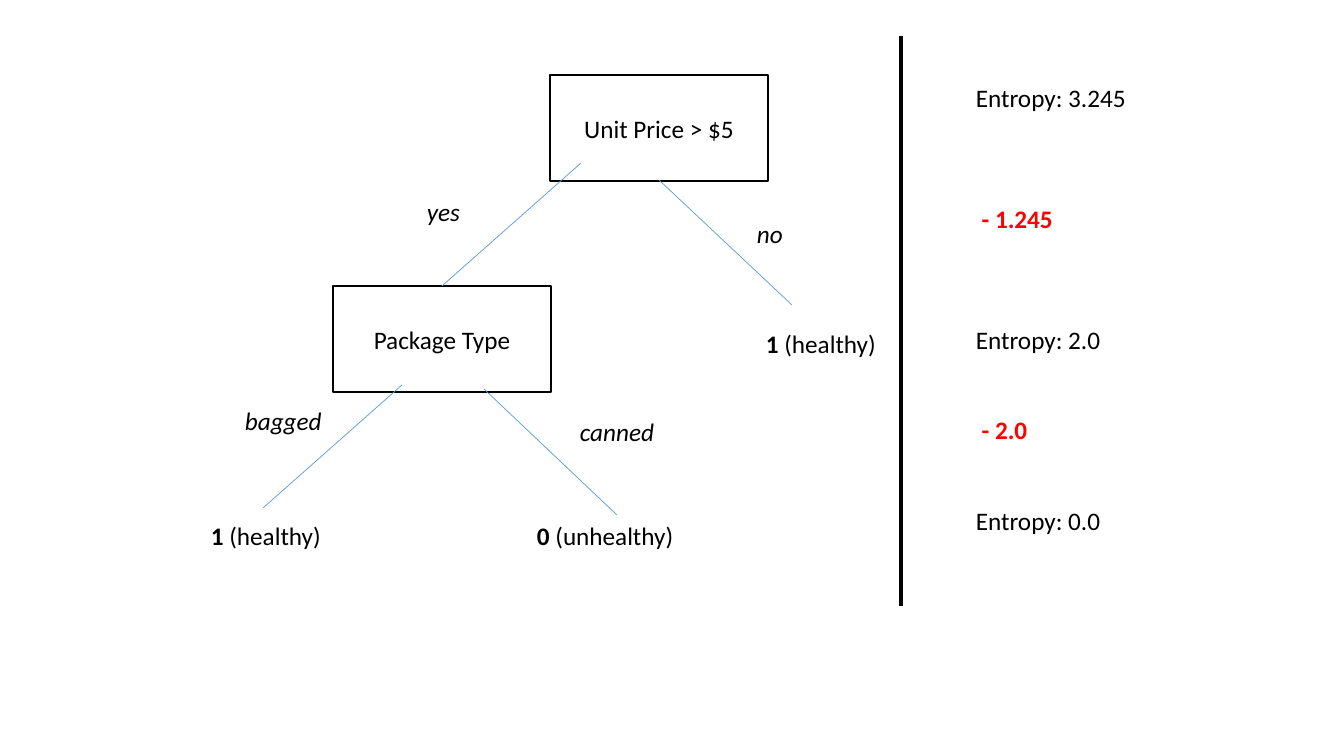
from lxml.etree import SubElement
from pptx import Presentation
from pptx.dml.color import RGBColor
from pptx.enum.shapes import MSO_CONNECTOR as Connector, MSO_SHAPE as Shape
from pptx.enum.text import MSO_ANCHOR as Anchor, MSO_AUTO_SIZE as AutoSize, PP_ALIGN as Align
from pptx.oxml.ns import qn
from pptx.util import Pt

PIXEL = 914400 / 100.8
LINE_POINTS = 21.6  # height of one 18 pt line
COLORS = {"ink": "000000", "branch": "5B9BD5", "drop": "FF0000"}

NODES = [("Unit Price > $5", 550, 75), ("Package Type", 333, 286)]
BRANCHES = [
    (581, 163, 442, 286),
    (659, 180, 792, 305),
    (402, 385, 263, 508),
    (484, 389, 617, 515),
]
ANSWERS = [
    ("yes", 417, 191, 53),
    ("no", 747, 213, 47),
    ("bagged", 235, 400, 98),
    ("canned", 570, 411, 96),
]
LEAVES = [
    ("1", " (healthy)", 756, 323, 132),
    ("1", " (healthy)", 201, 515, 132),
    ("0", " (unhealthy)", 527, 515, 158),
]
# text, empty lines above, whether it is a drop in entropy
ENTROPY_STEPS = [
    ("Entropy: 3.245", 0, False),
    (" - 1.245", 3, True),
    ("Entropy: 2.0", 3, False),
    (" - 2.0", 2, True),
    ("Entropy: 0.0", 2, False),
]


def px(*lengths):
    """Turn pixel lengths into a list of EMU lengths."""
    return [round(length * PIXEL) for length in lengths]


def color(name):
    """Look up a named colour."""
    return RGBColor.from_string(COLORS[name])


def style(paragraph, ink="ink", bold=None, italic=None):
    """Set the font of a whole paragraph."""
    font = paragraph.font
    font.name, font.size = "Calibri", Pt(18)
    font.bold, font.italic = bold, italic
    font.color.rgb = color(ink)


def add_node(page, text, left, top):
    """Add an outlined decision box with centred text."""
    box = page.shapes.add_shape(Shape.RECTANGLE, *px(left, top, 218, 106))
    box.shadow.inherit = False
    box.fill.background()
    box.line.color.rgb = color("ink")
    box.line.width = Pt(1.75)
    box.text_frame.vertical_anchor = Anchor.MIDDLE
    para = box.text_frame.paragraphs[0]
    para.text = text
    para.alignment = Align.CENTER
    style(para)


def add_line(page, ends, ink, width):
    """Add a straight line without a shadow."""
    line = page.shapes.add_connector(Connector.STRAIGHT, *px(*ends))
    line.line.color.rgb = color(ink)
    line.line.width = Pt(width)
    SubElement(line._element.spPr, qn("a:effectLst"))


def add_label(page, left, top, width):
    """Add a one-line text box and return its paragraph."""
    box = page.shapes.add_textbox(*px(left, top, width, 40))
    box.text_frame.word_wrap = False
    box.text_frame.auto_size = AutoSize.SHAPE_TO_FIT_TEXT
    return box.text_frame.paragraphs[0]


def add_answer(page, text, *place):
    """Add the italic answer beside a branch."""
    para = add_label(page, *place)
    para.text = text
    style(para, italic=True)


def add_leaf(page, value, meaning, *place):
    """Add a leaf: a bold class value and its meaning."""
    para = add_label(page, *place)
    style(para)
    for text, bold in ((value, True), (meaning, False)):
        span = para.add_run()
        span.text = text
        span.font.bold = bold


def add_entropy_column(page):
    """Add the entropy values and the drops between them."""
    box = page.shapes.add_textbox(*px(966, 77, 233, 468))
    frame = box.text_frame
    frame.word_wrap = True
    for index, (text, gap, is_drop) in enumerate(ENTROPY_STEPS):
        para = frame.add_paragraph() if index else frame.paragraphs[0]
        para.text = text
        para.space_before = Pt(gap * LINE_POINTS)
        style(para, "drop" if is_drop else "ink", bold=is_drop)


def main():
    """Build the decision tree slide and save it."""
    deck = Presentation()
    deck.slide_width, deck.slide_height = px(1344, 756)
    page = deck.slides.add_slide(deck.slide_layouts[6])
    for node in NODES:
        add_node(page, *node)
    for ends in BRANCHES:
        add_line(page, ends, "branch", 0.5)
    for answer in ANSWERS:
        add_answer(page, *answer)
    for leaf in LEAVES:
        add_leaf(page, *leaf)
    add_entropy_column(page)
    add_line(page, (901, 36, 901, 606), "ink", 2.25)
    deck.save("out.pptx")


main()
